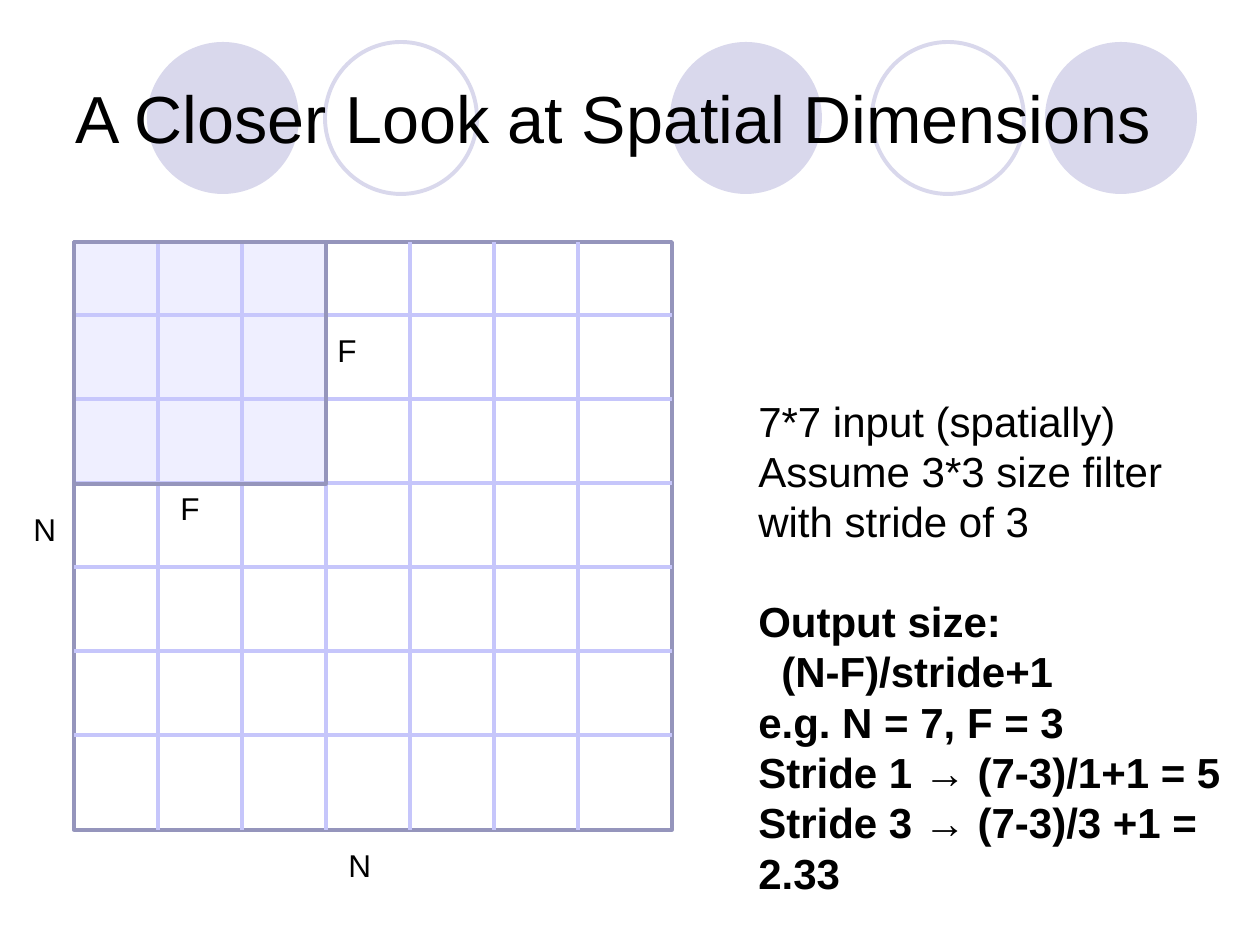
from typing import NamedTuple, Optional

from lxml.etree import SubElement
from pptx import Presentation
from pptx.dml.color import RGBColor
from pptx.enum.shapes import MSO_CONNECTOR as Connector, MSO_SHAPE as Preset
from pptx.enum.text import MSO_ANCHOR as Anchor, PP_ALIGN as Align
from pptx.oxml.ns import qn
from pptx.util import Pt

EMU_PER_PX = 914400 / 126
COLORS = {
    "text": "000000",
    "circle": "D9D8EC",
    "paper": "FFFFFF",
    "border": "9595BC",
    "grid": "C6C6FB",
    "filter": "CCCCFF",
}


class Box(NamedTuple):
    left: int
    top: int
    width: int
    height: int


class Circle(NamedTuple):
    left: int
    filled: bool


class Label(NamedTuple):
    text: str
    left: int
    top: int


class Line(NamedTuple):
    text: str
    bold: bool = False
    space_before: int = 0
    hanging: int = 0


CIRCLE_TOP, CIRCLE_SIZE = 42, 152
CIRCLES = [
    Circle(670, True),
    Circle(1045, True),
    Circle(147, True),
    Circle(872, False),
    Circle(325, False),
]

CELL = 84
INPUT = Box(74, 242, 598, 588)
FIRST_ROW_LINE = 315
FILTER = Box(INPUT.left, INPUT.top, 3 * CELL, 242)

LABELS = [
    Label("N", 336, 840),
    Label("N", 21, 504),
    Label("F", 168, 483),
    Label("F", 325, 325),
]
EXPLANATION = [
    Line("7*7 input (spatially)"),
    Line("Assume 3*3 size filter with stride of 3"),
    Line("Output size:\v(N-F)/stride+1", bold=True, space_before=28, hanging=23),
    Line("e.g. N = 7, F = 3", bold=True),
    Line("Stride 1 → (7-3)/1+1 = 5", bold=True),
    Line("Stride 3 → (7-3)/3 +1 = 2.33", bold=True),
]


def px(length: int) -> int:
    return round(length * EMU_PER_PX)


def color(name: str) -> RGBColor:
    return RGBColor.from_string(COLORS[name])


def add_figure(slide, preset, box: Box, fill: Optional[str] = None,
               line: Optional[str] = None, line_width: float = 2,
               opacity: int = 100) -> None:
    figure = slide.shapes.add_shape(preset, *map(px, box))
    figure.shadow.inherit = False
    if fill:
        figure.fill.solid()
        figure.fill.fore_color.rgb = color(fill)
        if opacity < 100:
            tint = figure.fill._xPr.find(qn("a:solidFill"))[0]
            SubElement(tint, qn("a:alpha"), val=str(opacity * 1000))
    else:
        figure.fill.background()
    if line:
        figure.line.color.rgb = color(line)
        figure.line.width = Pt(line_width)
    else:
        figure.line.fill.background()


def add_grid_line(slide, x1: int, y1: int, x2: int, y2: int) -> None:
    rule = slide.shapes.add_connector(Connector.STRAIGHT, *map(px, (x1, y1, x2, y2)))
    rule.line.color.rgb = color("grid")
    rule.line.width = Pt(2)
    SubElement(rule._element.spPr, qn("a:effectLst"))


def add_text(slide, lines: list[Line], box: Box, *, size: int,
             anchor=Anchor.TOP) -> None:
    frame = slide.shapes.add_textbox(*map(px, box)).text_frame
    frame.word_wrap = True
    frame.vertical_anchor = anchor
    for index, line in enumerate(lines):
        paragraph = frame.add_paragraph() if index else frame.paragraphs[0]
        paragraph.text = line.text
        paragraph.alignment = Align.LEFT
        paragraph.space_before = Pt(line.space_before)
        if line.hanging:
            properties = paragraph._p.get_or_add_pPr()
            properties.set("marL", str(px(line.hanging)))
            properties.set("indent", str(-px(line.hanging)))
        for run in paragraph.runs:
            run.font.name = "Arial"
            run.font.size = Pt(size)
            run.font.bold = line.bold
            run.font.color.rgb = color("text")


def add_circles(slide) -> None:
    for circle in CIRCLES:
        box = Box(circle.left, CIRCLE_TOP, CIRCLE_SIZE, CIRCLE_SIZE)
        if circle.filled:
            add_figure(slide, Preset.OVAL, box, fill="circle")
        else:
            add_figure(slide, Preset.OVAL, box, line="circle", line_width=2.25)


def add_input_grid(slide) -> None:
    add_figure(slide, Preset.RECTANGLE, INPUT, fill="paper", line="border")
    right, bottom = INPUT.left + INPUT.width, INPUT.top + INPUT.height
    for step in range(6):
        x = INPUT.left + (step + 1) * CELL
        add_grid_line(slide, x, INPUT.top, x, bottom)
    for step in range(6):
        y = FIRST_ROW_LINE + step * CELL
        add_grid_line(slide, INPUT.left, y, right, y)
    add_figure(slide, Preset.RECTANGLE, FILTER, fill="filter", line="border", opacity=30)


def main() -> None:
    deck = Presentation()
    deck.slide_width, deck.slide_height = px(1260), px(945)
    slide = deck.slides.add_slide(deck.slide_layouts[6])

    add_circles(slide)
    add_text(slide, [Line("A Closer Look at Spatial Dimensions")],
             Box(63, 38, 1134, 158), size=38, anchor=Anchor.MIDDLE)
    add_input_grid(slide)
    add_text(slide, EXPLANATION, Box(746, 389, 514, 567), size=24)
    for label in LABELS:
        add_text(slide, [Line(label.text)], Box(label.left, label.top, 63, 50), size=18)

    deck.save("out.pptx")


if __name__ == "__main__":
    main()
